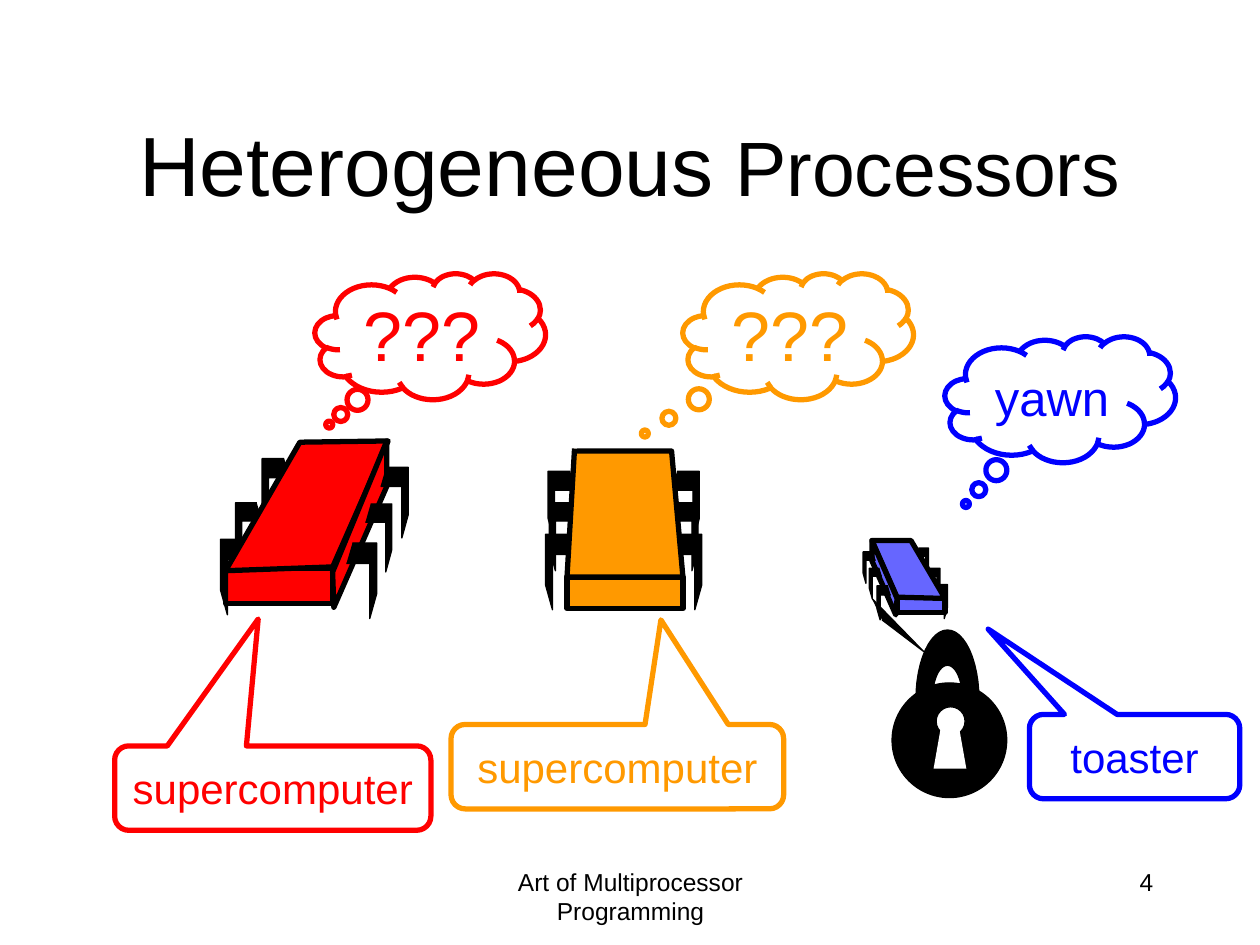
from dataclasses import dataclass
from math import cos, pi, sin

from pptx import Presentation
from pptx.dml.color import RGBColor as Rgb
from pptx.enum.shapes import MSO_SHAPE as Shape
from pptx.enum.text import MSO_ANCHOR as Anchor, PP_ALIGN as Align
from pptx.util import Inches, Pt


@dataclass(frozen=True)
class Theme:
    font: str = "Arial"
    black: str = "000000"
    white: str = "FFFFFF"
    red: str = "FF0000"
    gold: str = "FF9900"
    blue: str = "0000FF"
    pale: str = "6666FF"
    title: int = 48
    sub: int = 44
    shout: int = 40
    think: int = 28
    label: int = 24
    foot: int = 14
    thick: float = 3
    thin: float = 0.75


# Outline of a left-hand chip leg in a unit box
LEG = [(0.8, 0), (0, 0), (0, 0.67), (0.23, 1), (0.23, 0.27), (1, 0.27)]


def write(frame, text, size, color, font="Arial", align=Align.CENTER,
          anchor=Anchor.MIDDLE, pad=None):
    """Append a formatted run to the first paragraph of a frame."""
    frame.word_wrap = True
    frame.vertical_anchor = anchor
    if pad is not None:
        frame.margin_left = frame.margin_right = Inches(pad)
        frame.margin_top = frame.margin_bottom = Inches(pad)
    para = frame.paragraphs[0]
    para.alignment = align
    run = para.add_run()
    run.text = text
    run.font.name = font
    run.font.size = Pt(size)
    run.font.color.rgb = Rgb.from_string(color)


def arc(mid, radii, start, stop, steps=24):
    """Points along an ellipse, with angles in half turns."""
    turns = [start + (stop - start) * i / steps for i in range(steps + 1)]
    return [(mid[0] + radii[0] * cos(pi * t), mid[1] - radii[1] * sin(pi * t))
            for t in turns]


class Board:
    def __init__(self, slide, theme):
        self.slide = slide
        self.theme = theme

    def paint(self, shape, fill, line, width):
        shape.shadow.inherit = False
        if fill:
            shape.fill.solid()
            shape.fill.fore_color.rgb = Rgb.from_string(fill)
        else:
            shape.fill.background()
        if line:
            shape.line.color.rgb = Rgb.from_string(line)
            shape.line.width = Pt(width)
        else:
            shape.line.fill.background()
        return shape

    def title(self, box, *runs):
        head = self.slide.shapes.title
        head.left, head.top, head.width, head.height = map(Inches, box)
        for text, size in runs:
            write(head.text_frame, text, size, self.theme.black, self.theme.font)

    def note(self, box, text, align):
        area = self.slide.shapes.add_textbox(*map(Inches, box))
        write(area.text_frame, text, self.theme.foot, self.theme.black,
              self.theme.font, align, Anchor.TOP)

    def shape(self, kind, box, fill, line, width):
        item = self.slide.shapes.add_shape(kind, *map(Inches, box))
        return self.paint(item, fill, line, width)

    def free(self, points, fill, line, width, close=True):
        spots = [(Inches(x), Inches(y)) for x, y in points]
        pen = self.slide.shapes.build_freeform(*spots[0])
        pen.add_line_segments(spots[1:], close=close)
        return self.paint(pen.convert_to_shape(), fill, line, width)

    def legs(self, boxes, right):
        for x, y, w, h in boxes:
            points = [(x + w * (1 - u if right else u), y + h * v) for u, v in LEG]
            self.free(points, self.theme.black, self.theme.black,
                      self.theme.thin, close=False)

    def face(self, points, fill, close=True):
        self.free(points, fill, self.theme.black, self.theme.thick, close)

    def front(self, box, fill):
        self.shape(Shape.RECTANGLE, box, fill, self.theme.black, self.theme.thick)

    def bubble(self, kind, box, tip, text, size, color):
        item = self.shape(kind, box, None, color, self.theme.thick)
        for i, value in enumerate(tip):
            item.adjustments[i] = value
        write(item.text_frame, text, size, color, self.theme.font, pad=0)


def main():
    deck = Presentation()
    deck.slide_width, deck.slide_height = Inches(10), Inches(7.5)
    look = Theme()
    board = Board(deck.slides.add_slide(deck.slide_layouts[5]), look)

    # Title and footer
    board.title((0.75, 0.67, 8.5, 1.25),
                ("Heterogeneous", look.title), (" Processors", look.sub))
    board.note((3.42, 6.83, 3.17, 0.5), "Art of Multiprocessor Programming",
               Align.CENTER)
    board.note((7.17, 6.83, 2.08, 0.5), "4", Align.RIGHT)

    # Red chip
    board.front((1.79, 4.51, 0.85, 0.28), look.red)
    board.legs([(1.75, 4.28, 0.24, 0.6), (1.87, 3.99, 0.21, 0.54),
                (2.08, 3.64, 0.22, 0.56)], right=False)
    board.face([(1.79, 4.53), (2.64, 4.5), (3.08, 3.5), (2.38, 3.51)], look.red)
    board.face([(3.07, 3.5), (3.07, 3.86), (2.65, 4.82), (2.64, 4.54)], look.red)
    board.legs([(2.75, 4.31, 0.24, 0.6), (2.9, 4, 0.21, 0.54),
                (3.02, 3.71, 0.22, 0.56)], right=True)

    # Small blue chip
    board.front((7.12, 4.74, 0.38, 0.12), look.pale)
    board.legs([(7.41, 4.64, 0.11, 0.27), (7.36, 4.51, 0.1, 0.24),
                (7.27, 4.35, 0.1, 0.25)], right=True)
    board.face([(7.5, 4.75), (7.12, 4.74), (6.92, 4.29), (7.23, 4.29)], look.pale)
    board.face([(6.92, 4.29), (6.92, 4.45), (7.11, 4.88), (7.12, 4.75)], look.pale)
    board.legs([(6.96, 4.65, 0.11, 0.27), (6.9, 4.51, 0.1, 0.24),
                (6.85, 4.38, 0.1, 0.25)], right=False)

    # Padlock: body, keyhole, shackle and strap
    board.shape(Shape.OVAL, (7.08, 5.42, 0.91, 0.91), look.black, look.black, look.thin)
    board.shape(Shape.OVAL, (7.43, 5.61, 0.23, 0.23), look.white, look.black, look.thin)
    board.free([(7.41, 6.1), (7.47, 5.76), (7.61, 5.76), (7.67, 6.1)],
               look.white, None, 0)
    mid = (7.52, 5.55)
    board.free(arc(mid, (0.12, 0.27), 1, 0) + arc(mid, (0.25, 0.55), 0, 1),
               look.black, look.black, look.thin)
    board.free([(6.92, 4.75), (7.33, 5.17), (7, 4.92)],
               look.black, look.black, look.thin, close=False)

    # Thought clouds
    for x, y, tip, text, size, color in [
        (2.5, 2.17, (-0.438, 0.7), "???", look.shout, look.red),
        (5.42, 2.17, (-0.665, 0.771), "???", look.shout, look.gold),
        (7.5, 2.67, (-0.409, 0.83), "yawn", look.think, look.blue),
    ]:
        board.bubble(Shape.CLOUD_CALLOUT, (x, y, 1.83, 1), tip, text, size, color)

    # Orange chip, with evenly spaced legs
    board.front((4.5, 4.58, 0.92, 0.25), look.gold)
    rows = [(4.24, 0.24, 0.6), (3.99, 0.21, 0.54), (3.74, 0.22, 0.56)]
    board.legs([(5.33, *row) for row in rows], right=True)
    board.legs([(4.57 - w, y, w, h) for y, w, h in rows], right=False)
    board.face([(4.58, 3.58), (5.33, 3.58), (5.42, 4.58), (4.5, 4.58),
                (4.56, 3.56)], look.gold, close=False)

    # Name labels
    for x, y, w, tip, text, color in [
        (3.58, 5.75, 2.64, (0.131, -1.739), "supercomputer", look.gold),
        (0.91, 5.92, 2.51, (-0.046, -2.003), "supercomputer", look.red),
        (8.17, 5.67, 1.67, (-0.696, -1.51), "toaster", look.blue),
    ]:
        board.bubble(Shape.ROUNDED_RECTANGULAR_CALLOUT, (x, y, w, 0.67),
                     (*tip, 0.167), text, look.label, color)

    deck.save("out.pptx")


if __name__ == "__main__":
    main()
